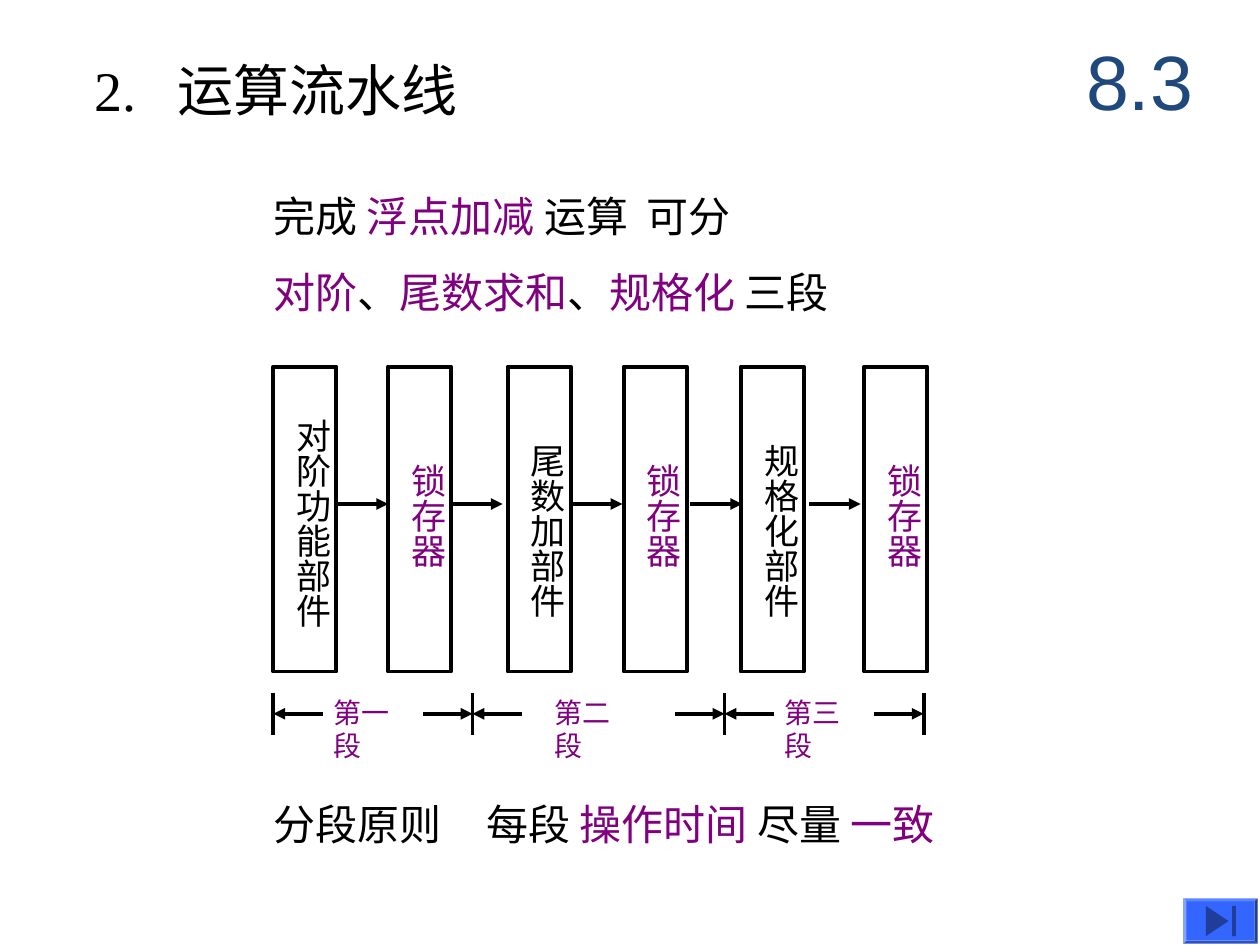
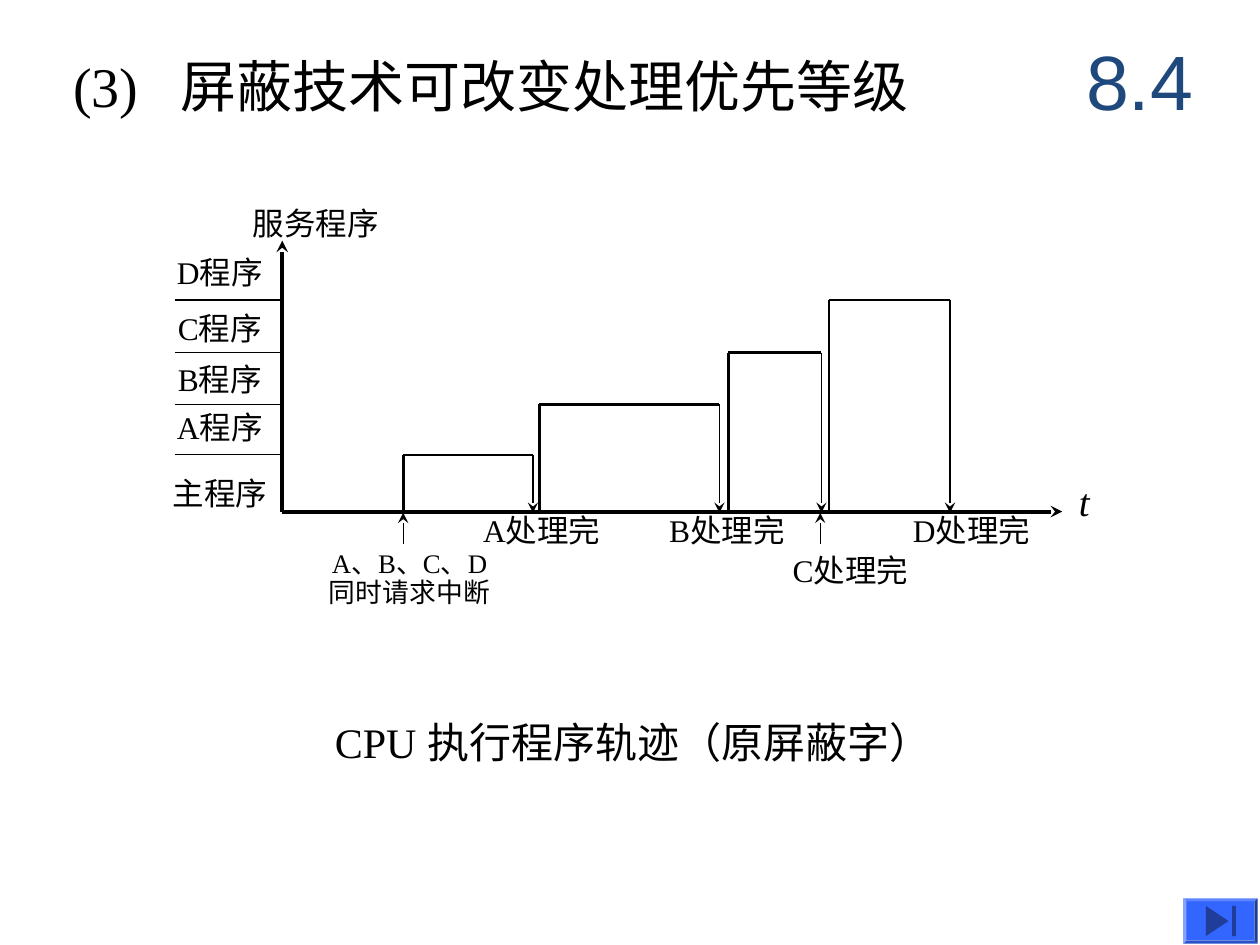
from lxml import etree
from pptx import Presentation
from pptx.dml.color import RGBColor
from pptx.enum import shapes, text
from pptx.oxml.ns import qn
from pptx.util import Inches, Pt

COLORS = {"ink": "000000", "accent": "800080", "section": "1F497D",
          "button": "3366FF", "icon": "1F3D99"}
SERIF = "Times New Roman"
SECTION_BOX = (8.42, 0.17, 1.25, 0.92)
BUTTON_BOX = (9.39, 7.13, 0.59, 0.36)


def rgb(name):
    """Return the named colour."""
    return RGBColor.from_string(COLORS[name])


def style_frame(tf, insets, anchor="TOP", wrap=False, grow=False):
    """Set the horizontal and vertical insets, anchor and wrapping of a frame."""
    tf.margin_left = tf.margin_right = Inches(insets[0])
    tf.margin_top = tf.margin_bottom = Inches(insets[1])
    tf.vertical_anchor = text.MSO_ANCHOR[anchor]
    tf.word_wrap = wrap
    tf.auto_size = text.MSO_AUTO_SIZE["SHAPE_TO_FIT_TEXT" if grow else "NONE"]


def write(tf, lines, size, align="LEFT", font=SERIF, spacing=None, tab=None):
    """Fill a frame with lines, each a list of (text, colour) runs."""
    for i, runs in enumerate(lines):
        p = tf.add_paragraph() if i else tf.paragraphs[0]
        p.alignment = text.PP_ALIGN[align]
        if spacing:
            p.line_spacing = spacing
        if tab:
            tabs = etree.SubElement(p._p.get_or_add_pPr(), qn("a:tabLst"))
            etree.SubElement(tabs, qn("a:tab"), pos=str(Inches(tab)), algn="l")
        for words, color in runs:
            r = p.add_run()
            r.text = words
            r.font.name, r.font.size = font, Pt(size)
            r.font.color.rgb = rgb(color)


def add_label(slide, box, lines, size, insets=(0, 0), anchor="TOP",
              wrap=False, grow=False, **kwargs):
    """Add a text box; a plain string stands for one black line."""
    sp = slide.shapes.add_textbox(*map(Inches, box))
    style_frame(sp.text_frame, insets, anchor, wrap, grow)
    if isinstance(lines, str):
        lines = [[(lines, "ink")]]
    write(sp.text_frame, lines, size, **kwargs)
    return sp


def add_line(slide, x1, y1, x2, y2, width=2.25, arrow=None):
    """Add a black line, with an arrowhead at its end if one is named."""
    line = slide.shapes.add_connector(
        shapes.MSO_CONNECTOR.STRAIGHT, *map(Inches, (x1, y1, x2, y2)))
    line.line.color.rgb = rgb("ink")
    line.line.width = Pt(width)
    if arrow:
        etree.SubElement(line.line._get_or_add_ln(), qn("a:tailEnd"), type=arrow)
    etree.SubElement(line._element.spPr, qn("a:effectLst"))


def add_block(slide, kind, box, fill=None, outline=None):
    """Add a preset shape with an optional fill and outline."""
    sp = slide.shapes.add_shape(shapes.MSO_SHAPE[kind], *map(Inches, box))
    sp.shadow.inherit = False
    if fill:
        sp.fill.solid()
        sp.fill.fore_color.rgb = rgb(fill)
    else:
        sp.fill.background()
    if outline:
        sp.line.color.rgb = rgb(outline)
        sp.line.width = Pt(2.25)
    else:
        sp.line.fill.background()
    return sp


def add_button(slide, box):
    """Draw the bevelled skip-to-end button."""
    x, y, w, h = box
    add_block(slide, "BEVEL", box, "button").adjustments[0] = 0.07
    play = add_block(slide, "ISOSCELES_TRIANGLE",
                     (x + 0.15, y + 0.09, 0.24, 0.18), "icon")
    play.rotation = 90
    add_block(slide, "RECTANGLE", (x + 0.39, y + 0.06, 0.03, h - 0.12), "icon")


def new_slide(prs, title, title_box, title_tab, section):
    """Start a slide with its title, section number and button."""
    slide = prs.slides.add_slide(prs.slide_layouts[5])
    sp = slide.shapes.title
    sp.left, sp.top, sp.width, sp.height = map(Inches, title_box)
    style_frame(sp.text_frame, (0, 0), "MIDDLE")
    write(sp.text_frame, [[(title, "ink")]], 32, tab=title_tab)
    add_label(slide, SECTION_BOX, [[(section, "section")]], 44, (0.1, 0.05),
              "MIDDLE", wrap=True, align="CENTER", font="Arial")
    add_button(slide, BUTTON_BOX)
    return slide


def draw_units(slide, box):
    """Draw the functional units and latches joined by arrows."""
    left, top, _, height = box
    units = [(0, 0.31, "对阶功能部件", 0.5), (0.91, 0.67, "锁存器", 1.41),
             (1.86, 0.51, "尾数加部件", 2.36), (2.78, 0.67, "锁存器", 3.31),
             (3.71, 0.51, "规格化部件", 4.25), (4.69, 0.67, "锁存器", None)]
    for x, label_top, name, arrow in units:
        color = "accent" if name == "锁存器" else "ink"
        label_box = (left + x, top + label_top, 0.53, 0.1 + 0.28 * len(name))
        label = add_label(slide, label_box, [[(name, color)]], 20,
                          (0.05, 0.1), grow=True)
        label.text_frame._txBody.bodyPr.set("vert", "eaVert")
        add_block(slide, "RECTANGLE", (left + x, top, 0.5, height), outline="ink")
        if arrow:
            start, y = left + arrow, top + 1.09
            add_line(slide, start, y, start + 0.41, y, arrow="triangle")


def draw_segments(slide, box):
    """Draw the dimension line that marks the three segments."""
    left, top, _, height = box
    bounds = [left + x for x in (0, 1.58, 3.58, 5.16)]
    for x in bounds:
        add_line(slide, x, top, x, top + height)
    y = top + height / 2
    names = [("第一段", 0.38), ("第二段", 0.55), ("第三段", 0.38)]
    for start, end, (name, indent) in zip(bounds, bounds[1:], names):
        add_line(slide, start + 0.39, y, start, y, arrow="triangle")
        add_line(slide, end - 0.39, y, end, y, arrow="triangle")
        add_label(slide, (start + indent, top - 0.03, 0.86, 0.37),
                  [[(name, "accent")]], 16, (0.1, 0.05), grow=True)


def pipeline_slide(prs):
    """Build the arithmetic pipeline slide."""
    slide = new_slide(prs, "2.\t运算流水线", (0.75, 0.42, 3.67, 0.58), 0.66, "8.3")
    stages = [[("完成 ", "ink"), ("浮点加减 ", "accent"), ("运算\t可分", "ink")],
              [("对阶", "accent"), ("、", "ink"), ("尾数求和", "accent"),
               ("、", "ink"), ("规格化 ", "accent"), ("三段", "ink")]]
    add_label(slide, (2.17, 1.25, 7.08, 1.33), stages, 24, (0, 0.05), "MIDDLE",
              spacing=1.5, tab=2.96)
    draw_units(slide, (2.17, 2.91, 5.19, 2.42))
    draw_segments(slide, (2.17, 5.5, 5.16, 0.33))
    principle = [[("分段原则\t每段 ", "ink"), ("操作时间 ", "accent"),
                  ("尽量 ", "ink"), ("一致", "accent")]]
    add_label(slide, (2.17, 6.25, 6.25, 0.58), principle, 24, (0, 0.05),
              "MIDDLE", tab=1.69)


def draw_axes(slide, box):
    """Draw the axes with their names and the program levels."""
    left, top, width, height = box
    base = top + height
    add_line(slide, left, base, left + width, base, arrow="stealth")
    add_line(slide, left, base, left, top, arrow="stealth")
    add_label(slide, (left - 0.42, top - 0.29, 1.37, 0.38), "服务程序", 18,
              wrap=True, align="CENTER")
    t = add_label(slide, (left + 6.11, base - 0.23, 0.51, 0.37), "t", 22.2,
                  wrap=True, align="CENTER", spacing=0.9)
    t.text_frame.paragraphs[0].runs[0].font.italic = True
    levels = [("主程序", 0.3), ("A程序", 0.82), ("B程序", 1.2),
              ("C程序", 1.61), ("D程序", 2.05)]
    for name, rise in levels:
        add_label(slide, (left - 0.94, base - rise, 0.89, 0.37), name, 18,
                  wrap=True, align="CENTER")


def draw_trace(slide, box):
    """Draw the step each program takes, its level and its finish mark."""
    left, top, _, height = box
    base = top + height
    steps = [("A", 0.96, 1.99, 0.45, 1.5, 2.06, 0),
             ("B", 2.04, 3.47, 0.85, 1, 3.53, 0),
             ("C", 3.54, 4.28, 1.26, 1, 4.51, 0.31),
             ("D", 4.34, 5.3, 1.68, 1.5, 5.47, 0)]
    for name, start, end, rise, fall_width, center, drop in steps:
        x1, x2, y = left + start, left + end, base - rise
        add_line(slide, left - 0.85, y, left, y, 0.75)
        add_line(slide, x1, base, x1, y, 1.5)
        add_line(slide, x1, y, x2, y, 1.5)
        add_line(slide, x2, y, x2, base + 0.01, fall_width, "stealth")
        add_label(slide, (left + center - 0.6, base + drop, 1.2, 0.36),
                  name + "处理完", 18, wrap=True, align="CENTER")
    for x in (left + 0.96, left + 4.27):
        add_line(slide, x, base + 0.26, x, base + 0.01, 0.75, "stealth")
    request = [[("A、B、C、D", "ink")], [("同时请求中断", "ink")]]
    add_label(slide, (left + 0.25, base + 0.31, 1.52, 0.57), request, 15.3,
              wrap=True, align="CENTER", spacing=0.9)


def masking_slide(prs):
    """Build the interrupt masking slide."""
    slide = new_slide(prs, "(3)\t屏蔽技术可改变处理优先等级",
                      (0.58, 0.44, 7.25, 0.47), 0.85, "8.4")
    plot_box = (2.24, 1.91, 6.19, 2.15)
    draw_axes(slide, plot_box)
    draw_trace(slide, plot_box)
    add_label(slide, (2.56, 5.64, 5.67, 0.5), "CPU 执行程序轨迹（原屏蔽字）", 24,
              (0.1, 0.05), wrap=True, grow=True)


def main():
    """Build and save the presentation."""
    prs = Presentation()
    prs.slide_width, prs.slide_height = Inches(10), Inches(7.5)
    pipeline_slide(prs)
    masking_slide(prs)
    prs.save("out.pptx")


if __name__ == "__main__":
    main()
